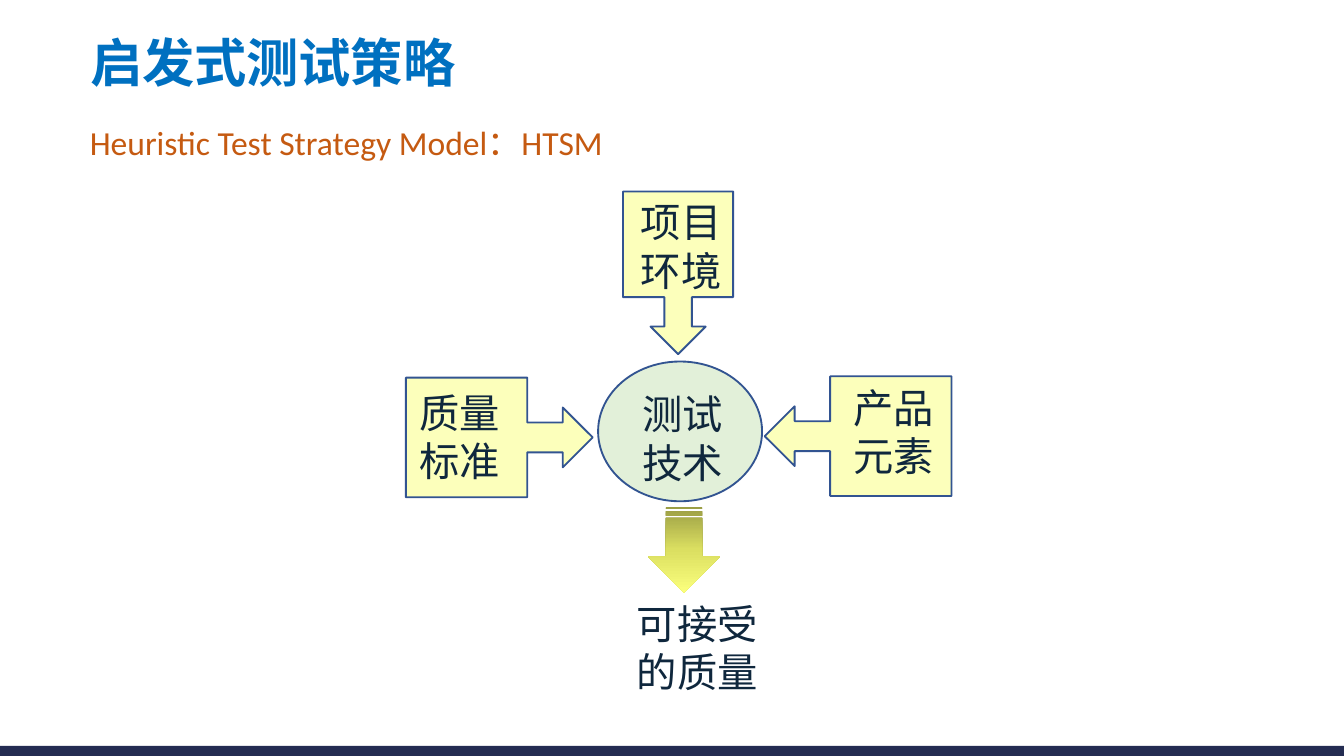
from dataclasses import dataclass

from lxml import etree
from pptx import Presentation
from pptx import util as u
from pptx.dml.color import RGBColor
from pptx.enum import shapes, text
from pptx.oxml import ns


@dataclass(frozen=True)
class Theme:
    title: str = "0070C0"
    subtitle: str = "C55A11"
    label: str = "0F273D"
    callout: str = "FBFF7D"
    technique: str = "E2F0D9"
    outline: str = "325491"
    footer: str = "242C52"
    gradient: tuple = ((0, "9A9D44"), (50, "DBDF61"), (100, "FBFF7D"))
    callout_opacity: int = 52
    title_size: float = 28
    subtitle_size: float = 18
    label_size: float = 21.6
    title_font: str = "Noto Sans CJK SC"
    subtitle_font: str = "Calibri"
    label_font: str = "Lato"
    east_asian_font: str = "Noto Sans CJK SC"


def add_element(parent, tag, **attributes):
    return etree.SubElement(parent, ns.qn(tag), attributes)


class SlideBuilder:
    def __init__(self, slide, theme):
        self.slide = slide
        self.theme = theme

    def add_run(self, paragraph, words, size, font, color, bold=None):
        run = paragraph.add_run()
        run.text = words
        run.font.size = u.Pt(size)
        run.font.name = font
        run.font.bold = bold
        run.font.color.rgb = RGBColor.from_string(color)
        latin = run.font._element.find(ns.qn("a:latin"))
        east_asian = etree.Element(ns.qn("a:ea"), typeface=self.theme.east_asian_font)
        latin.addnext(east_asian)

    def title(self, words, left, top, width, height):
        shape = self.slide.shapes.title
        shape.left, shape.top = u.Inches(left), u.Inches(top)
        shape.width, shape.height = u.Inches(width), u.Inches(height)
        frame = shape.text_frame
        frame.word_wrap = True
        frame.vertical_anchor = text.MSO_ANCHOR.TOP
        frame.margin_top = u.Inches(0)
        paragraph = frame.paragraphs[0]
        paragraph.alignment = text.PP_ALIGN.LEFT
        paragraph.line_spacing = 0.9
        theme = self.theme
        self.add_run(paragraph, words, theme.title_size, theme.title_font, theme.title, True)

    def text_box(self, words, left, top, width, height, size, font, color):
        box = self.slide.shapes.add_textbox(
            u.Inches(left), u.Inches(top), u.Inches(width), u.Inches(height))
        frame = box.text_frame
        frame.word_wrap = True
        frame.auto_size = text.MSO_AUTO_SIZE.SHAPE_TO_FIT_TEXT
        self.add_run(frame.paragraphs[0], words, size, font, color)

    def label(self, words, left, top, width):
        theme = self.theme
        self.text_box(words, left, top, width, 0.83,
                      theme.label_size, theme.label_font, theme.label)

    def shape(self, kind, left, top, width, height, fill=None, outline=None, rotation=0):
        shape = self.slide.shapes.add_shape(
            kind, u.Inches(left), u.Inches(top), u.Inches(width), u.Inches(height))
        shape.shadow.inherit = False
        shape.rotation = rotation
        if fill:
            shape.fill.solid()
            shape.fill.fore_color.rgb = RGBColor.from_string(fill)
        if outline:
            shape.line.color.rgb = RGBColor.from_string(outline)
            shape.line.width = u.Pt(1)
        else:
            shape.line.fill.background()
        return shape

    def callout(self, left, top, width, height, rotation=0):
        theme = self.theme
        shape = self.shape(shapes.MSO_SHAPE.RIGHT_ARROW_CALLOUT, left, top, width, height,
                           theme.callout, theme.outline, rotation)
        color = shape._element.spPr.find(ns.qn("a:solidFill"))[0]
        add_element(color, "a:alpha", val=str(theme.callout_opacity * 1000))

    def result_arrow(self, left, top, width, height):
        """Add a downward striped arrow that lightens towards its tip."""
        shape = self.shape(shapes.MSO_SHAPE.STRIPED_RIGHT_ARROW, left, top, width, height,
                           rotation=90)
        gradient = etree.Element(ns.qn("a:gradFill"), rotWithShape="1")
        stops = add_element(gradient, "a:gsLst")
        for position, color in self.theme.gradient:
            stop = add_element(stops, "a:gs", pos=str(position * 1000))
            add_element(stop, "a:srgbClr", val=color)
        add_element(gradient, "a:lin", ang="0", scaled="0")
        shape._element.spPr.find(ns.qn("a:prstGeom")).addnext(gradient)


def main():
    presentation = Presentation()
    presentation.slide_width = u.Inches(10)
    presentation.slide_height = u.Inches(10 * 9 / 16)
    slide = presentation.slides.add_slide(presentation.slide_layouts[5])
    theme = Theme()
    builder = SlideBuilder(slide, theme)

    builder.shape(shapes.MSO_SHAPE.RECTANGLE, 0, 5.55, 10, 0.13, theme.footer)
    builder.title("启发式测试策略", 0.57, 0.28, 6.87, 0.64)

    builder.callout(5.69, 2.8, 1.39, 0.89, rotation=180)
    builder.shape(shapes.MSO_SHAPE.OVAL, 4.45, 2.69, 1.22, 1.04,
                  theme.technique, theme.outline)
    builder.callout(4.44, 1.62, 1.21, 0.82, rotation=90)
    builder.callout(3.02, 2.81, 1.39, 0.89)

    builder.text_box("Heuristic Test Strategy Model：HTSM", 0.57, 0.86, 4.06, 0.4,
                     theme.subtitle_size, theme.subtitle_font, theme.subtitle)
    for words, left, top, width in (
        ("项目环境", 4.67, 1.42, 0.82),
        ("产品元素", 6.25, 2.8, 0.92),
        ("质量标准", 3.02, 2.84, 0.85),
        ("可接受的质量", 4.64, 4.41, 1.11),
        ("测试技术", 4.68, 2.85, 0.85),
    ):
        builder.label(words, left, top, width)
    builder.result_arrow(4.77, 3.82, 0.64, 0.54)

    presentation.save("out.pptx")


if __name__ == "__main__":
    main()
